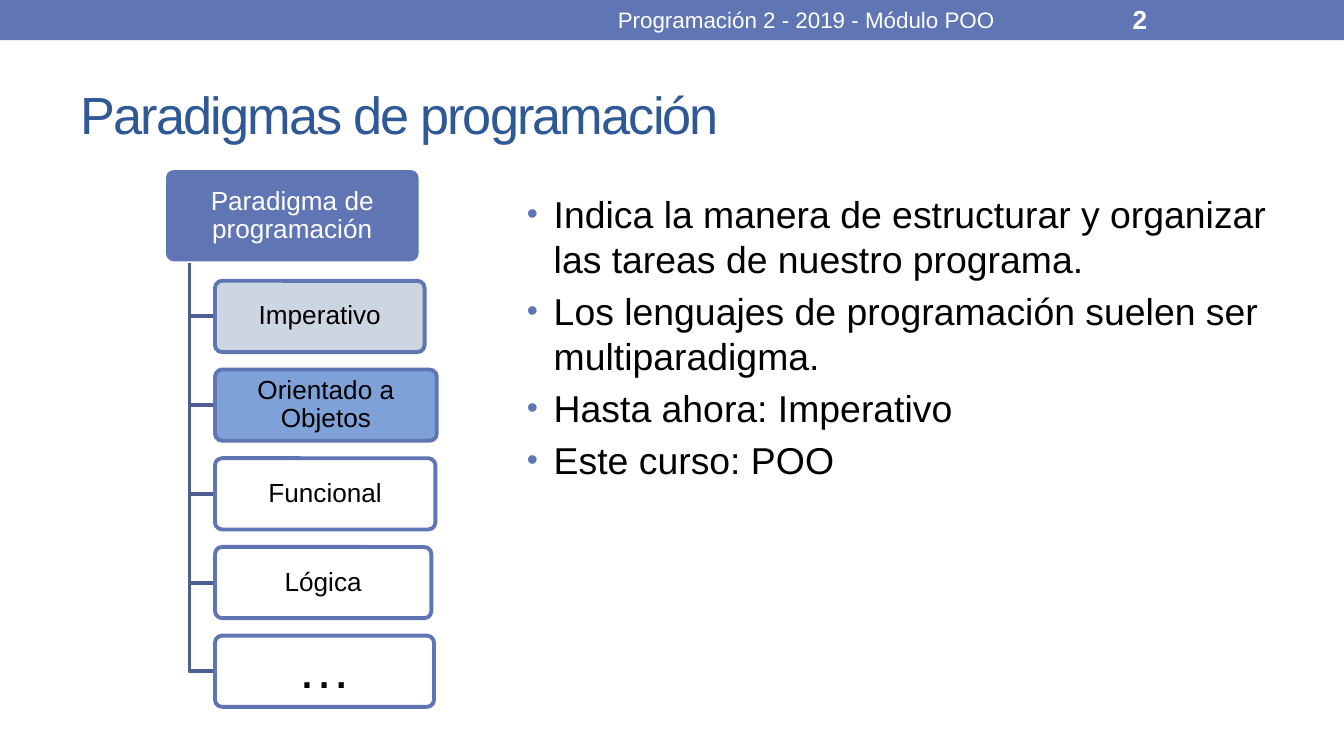
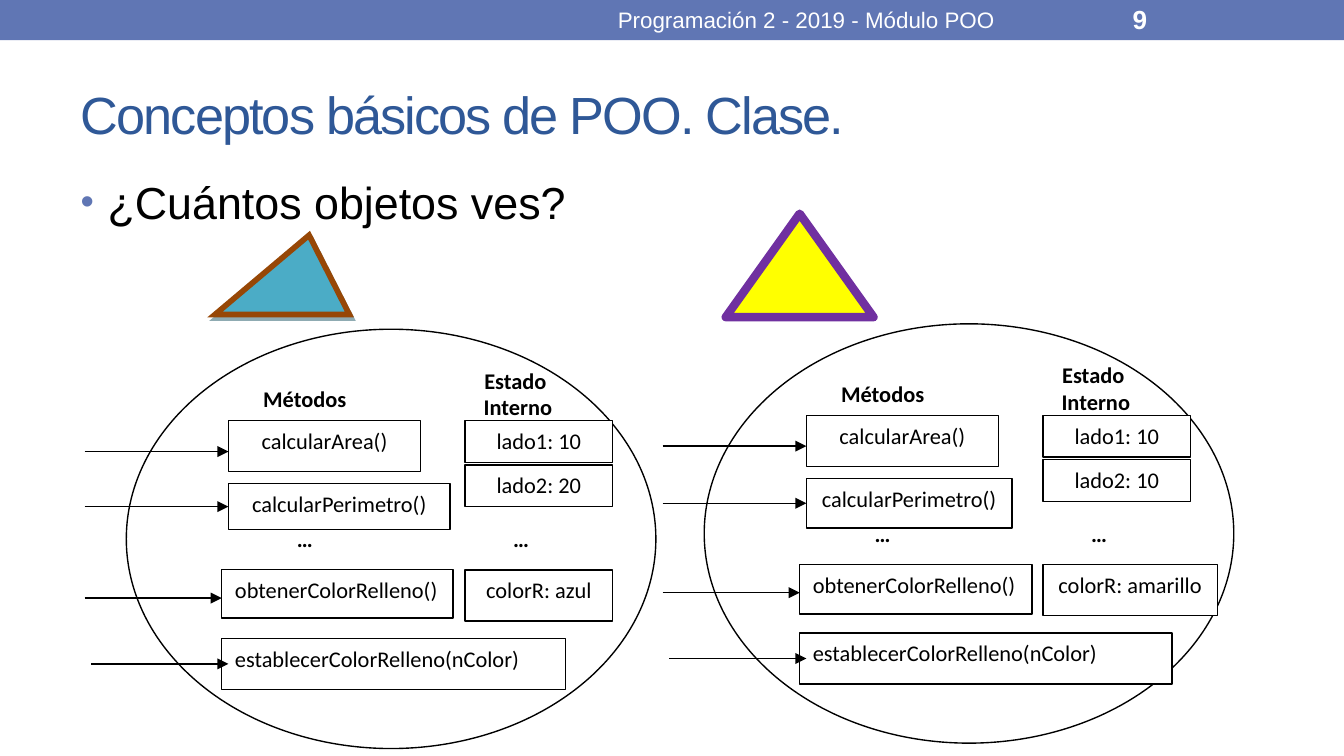
from lxml.etree import SubElement
from pptx import Presentation
from pptx.dml.color import RGBColor
from pptx.enum.shapes import MSO_CONNECTOR, MSO_SHAPE
from pptx.enum.text import MSO_ANCHOR, MSO_AUTO_SIZE, PP_ALIGN
from pptx.oxml.ns import qn
from pptx.util import Inches, Pt

BLUE, TITLE_BLUE, BRANCH_BLUE = "6076B4", "2F5897", "4D5E90"
BLACK, WHITE = "000000", "FFFFFF"
FOOTER = "Programación 2 - 2019 - Módulo POO"


def rgb(color):
    return RGBColor.from_string(color)


def inches(*lengths):
    return [Inches(length) for length in lengths]


def place(shape, box):
    shape.left, shape.top, shape.width, shape.height = inches(*box)


def write(frame, lines, size, color=BLACK, name="Arial", bold=False,
          align=PP_ALIGN.LEFT, anchor=MSO_ANCHOR.TOP):
    frame.word_wrap = True
    frame.auto_size = MSO_AUTO_SIZE.NONE
    frame.vertical_anchor = anchor
    frame.text = "\n".join(lines)
    for paragraph in frame.paragraphs:
        paragraph.alignment = align
        font = paragraph.font
        font.name, font.size, font.bold = name, Pt(size), bold
        font.color.rgb = rgb(color)


def add_text(shapes, box, lines, size, **style):
    text_box = shapes.add_textbox(*inches(*box))
    write(text_box.text_frame, lines, size, **style)


def set_line(shape, color, width):
    shape.line.color.rgb = rgb(color)
    shape.line.width = Pt(width)
    shape.shadow.inherit = False


def add_box(shapes, kind, box, fill, line=None, width=0.75):
    shape = shapes.add_shape(kind, *inches(*box))
    shape.fill.solid()
    shape.fill.fore_color.rgb = rgb(fill)
    if line:
        set_line(shape, line, width)
    else:
        shape.line.fill.background()
        shape.shadow.inherit = False
    return shape


def add_alpha(parent, percent):
    color = parent.find(qn("a:srgbClr"))
    SubElement(color, qn("a:alpha"), val=str(percent * 1000))


def add_base_slide(presentation, title, number):
    """Add a slide with the top band, its texts and the title."""
    slide = presentation.slides.add_slide(presentation.slide_layouts[1])
    add_box(slide.shapes, MSO_SHAPE.RECTANGLE, (0, 0, 10, 0.3), BLUE)
    add_text(slide.shapes, (3.75, 0.01, 4.5, 0.27), [FOOTER], 12, color=WHITE,
             align=PP_ALIGN.CENTER, anchor=MSO_ANCHOR.MIDDLE)
    add_text(slide.shapes, (8.33, 0.01, 1.17, 0.27), [str(number)], 14,
             color=WHITE, bold=True, anchor=MSO_ANCHOR.MIDDLE)
    heading = slide.shapes.title
    place(heading, (0.5, 0.44, 9, 0.81))
    write(heading.text_frame, [title], 28, color=TITLE_BLUE,
          anchor=MSO_ANCHOR.MIDDLE)
    run = heading.text_frame.paragraphs[0].runs[0]
    run._r.get_or_add_rPr().set("spc", "-100")
    return slide


def fill_body(slide, box, lines, size):
    body = slide.placeholders[1]
    place(body, box)
    write(body.text_frame, lines, size)
    for paragraph in body.text_frame.paragraphs:
        properties = paragraph._p.get_or_add_pPr()
        properties.set("marL", str(Inches(0.2)))
        properties.set("indent", str(Inches(-0.2)))
        bullet_color = SubElement(properties, qn("a:buClr"))
        SubElement(bullet_color, qn("a:srgbClr"), val=BLUE)
        SubElement(properties, qn("a:buSzPct"), val="85000")
        SubElement(properties, qn("a:buFont"), typeface="Arial")
        SubElement(properties, qn("a:buChar"), char="•")
        # The schema wants the default run properties after the bullet
        properties.append(properties.find(qn("a:defRPr")))


def add_paradigm_node(shapes, box, text, fill, line, size, color):
    node = add_box(shapes, MSO_SHAPE.ROUNDED_RECTANGLE, box, fill, line, 2.08)
    node.adjustments[0] = 0.1
    frame = node.text_frame
    frame.margin_left = frame.margin_right = Inches(0.03)
    frame.margin_top = frame.margin_bottom = Inches(0.02)
    write(frame, [text], size, color=color, align=PP_ALIGN.CENTER,
          anchor=MSO_ANCHOR.MIDDLE)
    frame.paragraphs[0].line_spacing = 0.9
    return node


def add_paradigm_tree(slide, left, top):
    """Draw the root paradigm and its branches below it."""
    shapes = slide.shapes.add_group_shape().shapes
    add_paradigm_node(shapes, (left, top, 1.91, 0.71),
                      "Paradigma de programación", BLUE, WHITE, 14, WHITE)
    paradigms = [
        ("Imperativo", 1.56, "C7D1DE", 14),
        ("Orientado a Objetos", 1.65, "7097D3", 14),
        ("Funcional", 1.64, WHITE, 14),
        ("Lógica", 1.61, WHITE, 14),
        ("…", 1.63, WHITE, 29),
    ]
    height, pitch = 0.53, 0.66
    trunk, node_left, root_bottom = left + 0.19, left + 0.38, top + 0.71
    for index, (text, width, fill, size) in enumerate(paradigms):
        node_top = top + 0.84 + index * pitch
        middle = node_top + height / 2
        builder = shapes.build_freeform(*inches(trunk, root_bottom))
        builder.add_line_segments(
            [inches(trunk, middle), inches(node_left, middle)], close=False)
        branch = builder.convert_to_shape()
        branch.fill.background()
        set_line(branch, BRANCH_BLUE, 2.08)
        node = add_paradigm_node(shapes, (node_left, node_top, width, height),
                                 text, fill, BLUE, size, BLACK)
        add_alpha(node._element.spPr.find(qn("a:solidFill")), 90)


def add_member(shapes, box, text, align=PP_ALIGN.CENTER):
    member = add_box(shapes, MSO_SHAPE.RECTANGLE, box, WHITE, BLACK)
    write(member.text_frame, [text], 12, name="Calibri", align=align)
    return member


def add_call_arrow(shapes, start, end, y):
    arrow = shapes.add_connector(MSO_CONNECTOR.STRAIGHT,
                                 *inches(start, y, end, y))
    arrow.line.color.rgb = rgb(BLACK)
    arrow.line.width = Pt(0.75)
    properties = arrow._element.spPr
    SubElement(properties.find(qn("a:ln")), qn("a:tailEnd"), type="triangle")
    SubElement(properties, qn("a:effectLst"))
    return arrow


def add_object(slide, left, top, perimeter_size, getter_size, setter_width,
               second_side, color_name, color_width):
    """Draw one object: methods called from outside and inner state."""
    shapes = slide.shapes.add_group_shape().shapes
    add_box(shapes, MSO_SHAPE.OVAL, (left, top, 3.94, 3.12), WHITE, BLACK)

    center, start = PP_ALIGN.CENTER, PP_ALIGN.LEFT
    # Text, offset, size, alignment, arrow start, arrow end, arrow height
    methods = [
        ("calcularArea()", (0.76, 0.68), (1.43, 0.38), center,
         -0.31, 0.76, 0.91),
        ("calcularPerimetro()", (0.76, 1.15), perimeter_size, center,
         -0.31, 0.76, 1.15 + perimeter_size[1] / 2),
        ("obtenerColorRelleno()", (0.71, 1.79), getter_size, start,
         -0.31, 0.71, 2),
        ("establecerColorRelleno(nColor)", (0.71, 2.3), (setter_width, 0.38),
         start, -0.26, 0.76, 2.49),
    ]
    for text, (x, y), size, align, tail, head, arrow_y in methods:
        method = add_member(shapes, (left + x, top + y, *size), text, align)
        arrow = add_call_arrow(shapes, left + tail, left + head, top + arrow_y)
        if text == "calcularPerimetro()":
            arrow.end_connect(method, 1)

    state = [
        ("lado1: 10", 0.68, 1.1, 0.31),
        (f"lado2: {second_side}", 1.01, 1.1, 0.31),
        (f"colorR: {color_name}", 1.79, color_width, 0.38),
    ]
    for text, y, width, height in state:
        add_member(shapes, (left + 2.52, top + y, width, height), text)

    labels = [
        (["Métodos"], (0.92, 0.37), (1.14, 0.37), start),
        (["Estado", " Interno"], (2.17, 0.23), (1.45, 0.43), center),
        (["…"], (1.17, 1.41), (1.39, 0.47), start),
        (["…"], (2.78, 1.41), (1.39, 0.47), start),
    ]
    for lines, (x, y), size, align in labels:
        add_text(shapes, (left + x, top + y, *size), lines, 12,
                 name="Calibri", bold=True, align=align)


def add_triangles(slide):
    triangle = MSO_SHAPE.ISOSCELES_TRIANGLE
    blue = add_box(slide.shapes, triangle, (1.6, 1.75, 1, 0.59),
                   "4BACC6", "974706", 3)
    blue.adjustments[0] = 0.7
    properties = blue._element.spPr
    SubElement(properties.find(qn("a:ln")), qn("a:miter"), lim="800000")
    shadow = SubElement(properties.find(qn("a:effectLst")), qn("a:outerShdw"),
                        dist=str(Pt(2.2)), dir=str(63 * 60000), algn="ctr",
                        rotWithShape="0")
    SubElement(shadow, qn("a:srgbClr"), val="205867")
    add_alpha(shadow, 50)
    add_box(slide.shapes, triangle, (5.4, 1.59, 1.1, 0.77),
            "FFFF00", "7030A0", 4.5)


def build_paradigms_slide(presentation):
    slide = add_base_slide(presentation, "Paradigmas de programación", 2)
    add_paradigm_tree(slide, 1.22, 1.25)
    fill_body(slide, (3.82, 1.37, 5.91, 3.87), [
        "Indica la manera de estructurar y organizar las tareas de nuestro "
        "programa.",
        "Los lenguajes de programación suelen ser multiparadigma.",
        "Hasta ahora: Imperativo",
        "Este curso: POO",
    ], 20)


def build_class_slide(presentation):
    slide = add_base_slide(presentation, "Conceptos básicos de POO. Clase.", 9)
    fill_body(slide, (0.5, 1.25, 9.07, 0.87), ["¿Cuántos objetos ves?"], 24)
    add_object(slide, 0.94, 2.45, (1.65, 0.34), (1.72, 0.36), 2.56,
               20, "azul", 1.1)
    add_triangles(slide)
    add_object(slide, 5.24, 2.41, (1.53, 0.37), (1.73, 0.37), 2.77,
               10, "amarillo", 1.3)


def main():
    presentation = Presentation()
    presentation.slide_width = Inches(10)
    presentation.slide_height = Inches(10 * 9 / 16)
    build_paradigms_slide(presentation)
    build_class_slide(presentation)
    presentation.save("out.pptx")


if __name__ == "__main__":
    main()
